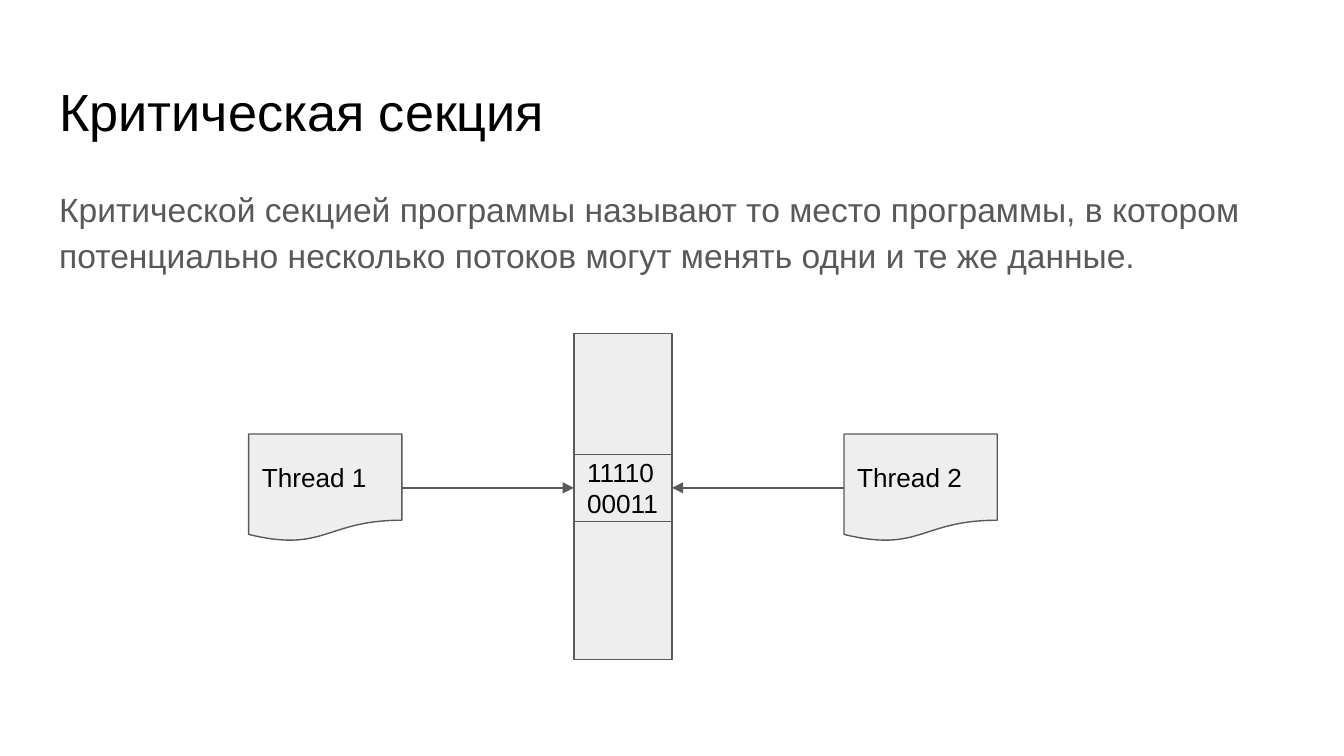
from pptx import Presentation
from pptx.dml.color import RGBColor
from pptx.enum.shapes import MSO_CONNECTOR as Conn, MSO_SHAPE as Shape
from pptx.enum.text import MSO_ANCHOR as Anchor, MSO_AUTO_SIZE as Fit, PP_ALIGN as Align
from pptx.oxml.ns import qn
from pptx.util import Inches, Pt
from lxml import etree

GRAY, PALE, BLACK = "595959", "EEEEEE", "000000"


def color(code):
    return RGBColor.from_string(code)


def write(shape, text, size, code, anchor, right=0.1):
    frame = shape.text_frame
    frame.text = text
    form = {
        "word_wrap": True, "auto_size": Fit.NONE, "vertical_anchor": anchor,
        "margin_left": Inches(0.1), "margin_right": Inches(right),
        "margin_top": Inches(0.1), "margin_bottom": Inches(0.1),
    }
    for key, value in form.items():
        setattr(frame, key, value)
    para = frame.paragraphs[0]
    para.alignment = Align.LEFT
    font = para.runs[0].font
    for key, value in {"name": "Arial", "size": Pt(size), "bold": False}.items():
        setattr(font, key, value)
    font.color.rgb = color(code)
    return para


deck = Presentation()
deck.slide_width, deck.slide_height = Inches(10), Inches(10) * 9 // 16
slide = deck.slides.add_slide(deck.slide_layouts[1])
title, body = slide.placeholders

for box, top, height in ((title, 0.49, 0.63), (body, 1.26, 3.74)):
    place = {"left": 0.34, "top": top, "width": 9.32, "height": height}
    for key, value in place.items():
        setattr(box, key, Inches(value))

write(title, "Критическая секция", 28, BLACK, Anchor.TOP)
para = write(
    body,
    "Критической секцией программы называют то место программы, в котором "
    "потенциально несколько потоков могут менять одни и те же данные.",
    18, GRAY, Anchor.TOP,
)
for key, value in {"line_spacing": 1.15, "space_before": Pt(0), "space_after": Pt(16)}.items():
    setattr(para, key, value)
props = para._p.get_or_add_pPr()
props.set("marL", "0")
props.set("indent", "0")
etree.SubElement(props, qn("a:buNone"))

parts = (
    (Shape.RECTANGLE, 4.27, 2.48, 0.73, 2.43, ""),
    (Shape.RECTANGLE, 4.27, 3.38, 0.73, 0.5, "1111000011"),
    (Shape.FLOWCHART_DOCUMENT, 1.85, 3.23, 1.14, 0.8, "Thread 1"),
    (Shape.FLOWCHART_DOCUMENT, 6.28, 3.23, 1.14, 0.8, "Thread 2"),
)
nodes = []
for kind, left, top, width, height, text in parts:
    node = slide.shapes.add_shape(
        kind, Inches(left), Inches(top), Inches(width), Inches(height))
    node.shadow.inherit = False
    node.fill.solid()
    node.fill.fore_color.rgb = color(PALE)
    node.line.color.rgb = color(GRAY)
    node.line.width = Pt(0.75)
    if text:
        write(node, text, 14, BLACK, Anchor.MIDDLE, 0.05)
    nodes.append(node)

stack, data, first, second = nodes
for thread, start, end in ((first, 3, 1), (second, 1, 3)):
    arrow = slide.shapes.add_connector(Conn.STRAIGHT, 0, 0, 0, 0)
    arrow.begin_connect(thread, start)
    arrow.end_connect(data, end)
    arrow.line.color.rgb = color(GRAY)
    arrow.line.width = Pt(0.75)
    etree.SubElement(arrow.line._get_or_add_ln(), qn("a:tailEnd"), type="triangle")
    etree.SubElement(arrow._element.spPr, qn("a:effectLst"))

deck.save("out.pptx")
